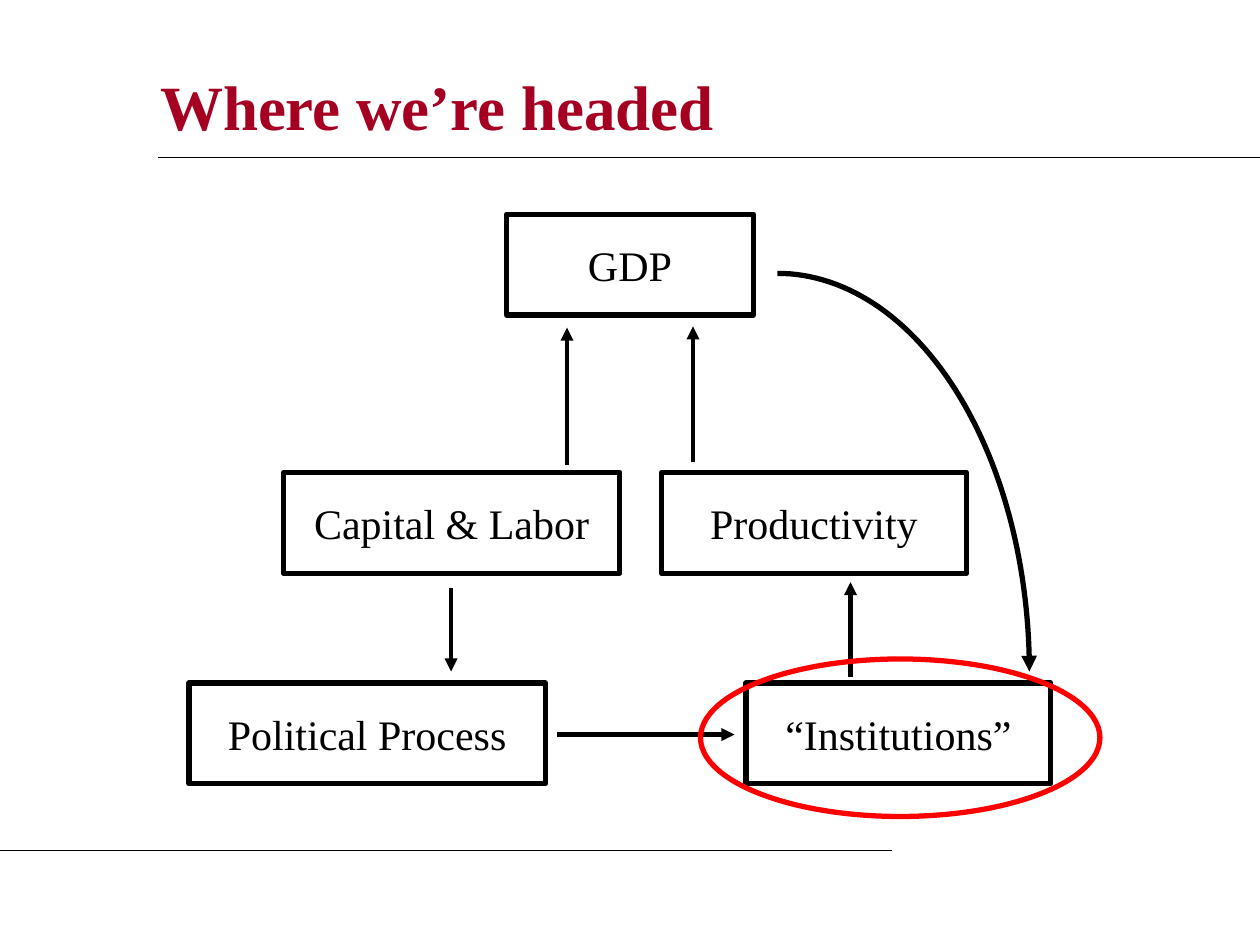
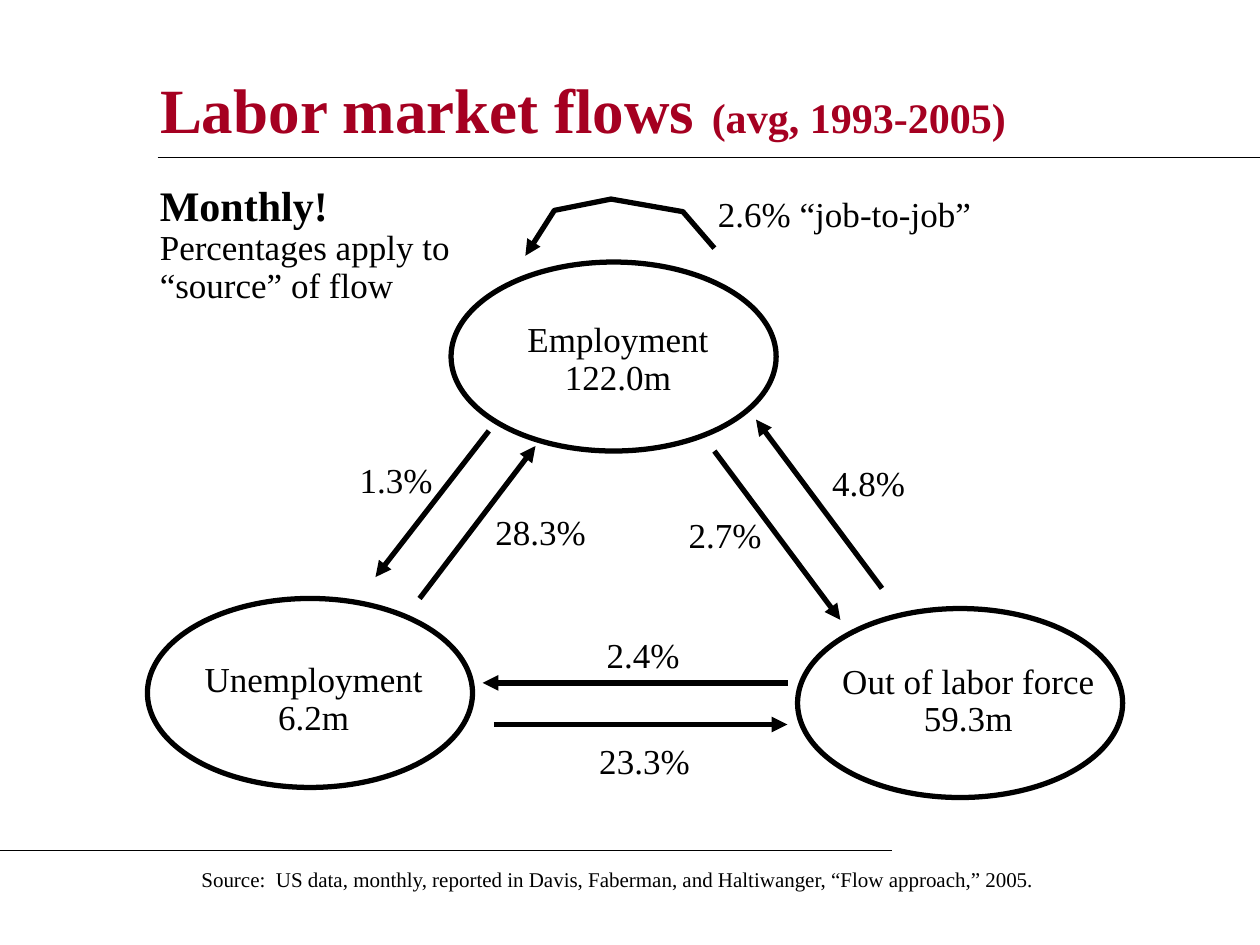
import math
from dataclasses import dataclass
from typing import Optional

from lxml import etree
from pptx import Presentation
from pptx import util as u
from pptx.dml.color import RGBColor
from pptx.enum import shapes, text
from pptx.oxml import ns
from pptx.util import Inches

COLORS = {"title": "A50021", "ink": "000000", "highlight": "FF0000"}
FONT = "Times New Roman"
LEFT, CENTER = text.PP_ALIGN.LEFT, text.PP_ALIGN.CENTER
Point = tuple[float, float]


@dataclass
class Box:
    left: float
    top: float
    width: float
    height: float

    def emu(self) -> list[int]:
        return [Inches(v) for v in (self.left, self.top, self.width, self.height)]


@dataclass
class Run:
    words: str
    size: float = 20
    bold: bool = False
    color: str = "ink"


@dataclass
class Label:
    box: Box
    lines: list[Run]
    align: text.PP_ALIGN = CENTER
    spacing: Optional[float] = None


@dataclass
class Arrow:
    start: Point
    end: Point


# Shared drawing helpers
def rgb(name: str) -> RGBColor:
    return RGBColor.from_string(COLORS[name])


def add_run(p, run: Run) -> None:
    r = p.add_run()
    r.text = run.words
    r.font.name, r.font.size, r.font.bold = FONT, u.Pt(run.size), run.bold
    r.font.color.rgb = rgb(run.color)


def style_line(sp, width: float, color: str = "ink", arrow: bool = False) -> None:
    sp.line.width = u.Pt(width)
    sp.line.color.rgb = rgb(color)
    if arrow:
        etree.SubElement(sp.line._get_or_add_ln(), ns.qn("a:tailEnd"), type="triangle")


def add_line(s, start: Point, end: Point, width: float, arrow: bool = False) -> None:
    sp = s.shapes.add_connector(
        shapes.MSO_CONNECTOR.STRAIGHT, *(Inches(v) for v in start + end))
    style_line(sp, width, arrow=arrow)
    etree.SubElement(sp._element.spPr, ns.qn("a:effectLst"))


def add_arrows(s, arrows: list[Arrow], width: float) -> None:
    for arrow in arrows:
        add_line(s, arrow.start, arrow.end, width, arrow=True)


def add_path_arrow(s, points: list[Point]) -> None:
    corners = [(Inches(x), Inches(y)) for x, y in points]
    builder = s.shapes.build_freeform(*corners[0])
    builder.add_line_segments(corners[1:], close=False)
    sp = builder.convert_to_shape()
    sp.shadow.inherit = False
    sp.fill.background()
    style_line(sp, 3, arrow=True)


def add_outline(s, kind: shapes.MSO_SHAPE, box: Box, color: str = "ink"):
    sp = s.shapes.add_shape(kind, *box.emu())
    sp.shadow.inherit = False
    sp.fill.background()
    style_line(sp, 3, color)
    return sp


def add_label(s, label: Label) -> None:
    tf = s.shapes.add_textbox(*label.box.emu()).text_frame
    tf.word_wrap = True
    for i, run in enumerate(label.lines):
        p = tf.add_paragraph() if i else tf.paragraphs[0]
        p.alignment = label.align
        if label.spacing:
            p.line_spacing = label.spacing
        add_run(p, run)


def add_slide(prs, title_box: Box, title: list[Run]):
    """Slide with its title and the two rules every slide carries."""
    s = prs.slides.add_slide(prs.slide_layouts[5])
    sp = s.shapes.title
    sp.left, sp.top, sp.width, sp.height = title_box.emu()
    tf = sp.text_frame
    tf.auto_size = text.MSO_AUTO_SIZE.NONE
    tf.vertical_anchor = text.MSO_ANCHOR.MIDDLE
    p = tf.paragraphs[0]
    p.alignment = LEFT
    for run in title:
        add_run(p, run)
    add_line(s, (1.25, 1.25), (10, 1.25), 0.75)
    add_line(s, (0, 6.75), (7.08, 6.75), 0.75)
    return s


def title_run(words: str, size: float = 36) -> Run:
    return Run(words, size, True, "title")


# Slide 1: growth diagram
def build_roadmap(prs) -> None:
    s = add_slide(prs, Box(1.17, 0.42, 8.08, 0.83), [title_run("Where we’re headed")])

    top, middle, bottom = 1.7, 3.75, 5.42
    for words, left, row, width in [
        ("GDP", 4.02, top, 1.96),
        ("Capital & Labor", 2.25, middle, 2.67),
        ("Productivity", 5.25, middle, 2.42),
        ("Political Process", 1.5, bottom, 2.83),
        ("“Institutions”", 5.92, bottom, 2.42),
    ]:
        sp = add_outline(s, shapes.MSO_SHAPE.RECTANGLE, Box(left, row, width, 0.8))
        tf = sp.text_frame
        tf.word_wrap = True
        tf.vertical_anchor = text.MSO_ANCHOR.MIDDLE
        tf.margin_left = tf.margin_right = Inches(0.2)
        tf.margin_top = tf.margin_bottom = Inches(0.2)
        tf.paragraphs[0].alignment = CENTER
        add_run(tf.paragraphs[0], Run(words, 24))

    add_arrows(s, [
        Arrow((4.5, 3.69), (4.5, 2.6)),
        Arrow((5.5, 3.67), (5.5, 2.59)),
        Arrow((6.75, 5.37), (6.75, 4.62)),
        Arrow((4.42, 5.83), (5.83, 5.83)),
        Arrow((3.58, 4.67), (3.58, 5.33)),
    ], 2.5)

    # Quarter ellipse leading from GDP back to institutions
    steps = 60
    angles = [math.pi / 2 * i / steps for i in range(steps + 1)]
    add_path_arrow(s, [(6.17 + 2 * math.sin(a), 5.33 - 3.16 * math.cos(a))
                       for a in angles])
    add_outline(s, shapes.MSO_SHAPE.OVAL, Box(5.56, 5.23, 3.17, 1.25), "highlight")


# Slide 2: flows between labor market states
def build_flows(prs) -> None:
    s = add_slide(prs, Box(1.17, 0.25, 7.58, 1.17), [
        title_run("Labor market flows"), title_run(" ", 40),
        title_run("(avg, 1993-2005)", 24)])

    # States
    for left, top, name, count, text_box in [
        (3.58, 2.08, "Employment", "122.0m", Box(4.07, 2.51, 1.67, 0.7)),
        (6.33, 4.83, "Out of labor force", "59.3m", Box(6.56, 5.22, 2.25, 0.7)),
        (1.17, 4.75, "Unemployment", "6.2m", Box(1.49, 5.21, 2, 0.7)),
    ]:
        add_outline(s, shapes.MSO_SHAPE.OVAL, Box(left, top, 2.58, 1.5))
        add_label(s, Label(text_box, [Run(name), Run(count)], spacing=0.9))

    # Flows
    add_arrows(s, [
        Arrow((3.33, 4.75), (4.25, 3.54)),
        Arrow((3.88, 3.42), (2.98, 4.58)),
        Arrow((5.67, 3.58), (6.67, 4.92)),
        Arrow((3.92, 5.75), (6.25, 5.75)),
        Arrow((6.25, 5.42), (3.83, 5.42)),
        Arrow((7, 4.67), (6, 3.33)),
    ], 3)
    add_path_arrow(s, [(5.67, 1.97), (5.42, 1.68), (4.85, 1.58),
                       (4.4, 1.67), (4.17, 2.03)])

    # Flow rates
    for rate, left, top, width in [
        ("4.8%", 6.48, 3.61, 0.83),
        ("2.7%", 5.34, 4.03, 0.83),
        ("1.3%", 2.73, 3.59, 0.83),
        ("28.3%", 3.75, 4, 1.08),
        ("2.4%", 4.71, 4.98, 0.79),
        ("23.3%", 4.59, 5.82, 1.05),
    ]:
        add_label(s, Label(Box(left, top, width, 0.44), [Run(rate)]))

    # Remarks and source
    for label in [
        Label(Box(5.6, 1.48, 2.5, 0.44), [Run("2.6% “job-to-job”")], LEFT),
        Label(Box(1.17, 1.42, 2.5, 1.06),
              [Run("Monthly!", 24, True),
               Run("Percentages apply to “source” of flow")], LEFT, 0.9),
        Label(Box(1.5, 6.83, 6.92, 0.3),
              [Run("Source:  US data, monthly, reported in Davis, Faberman, and "
                   "Haltiwanger, “Flow approach,” 2005.", 12)], LEFT),
    ]:
        add_label(s, label)


def main() -> None:
    prs = Presentation()
    prs.slide_width, prs.slide_height = Inches(10), Inches(7.5)
    build_roadmap(prs)
    build_flows(prs)
    prs.save("out.pptx")


if __name__ == "__main__":
    main()
